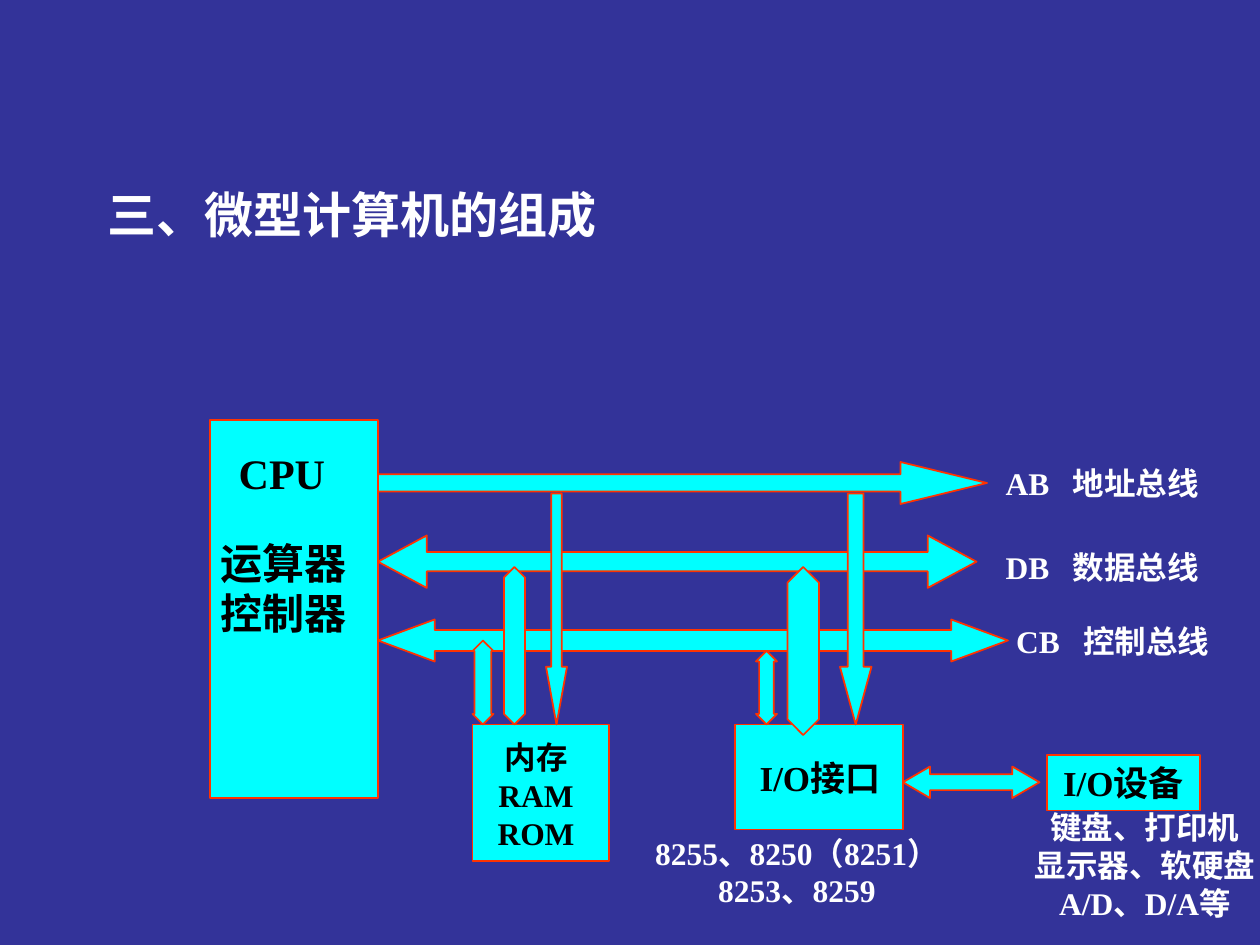
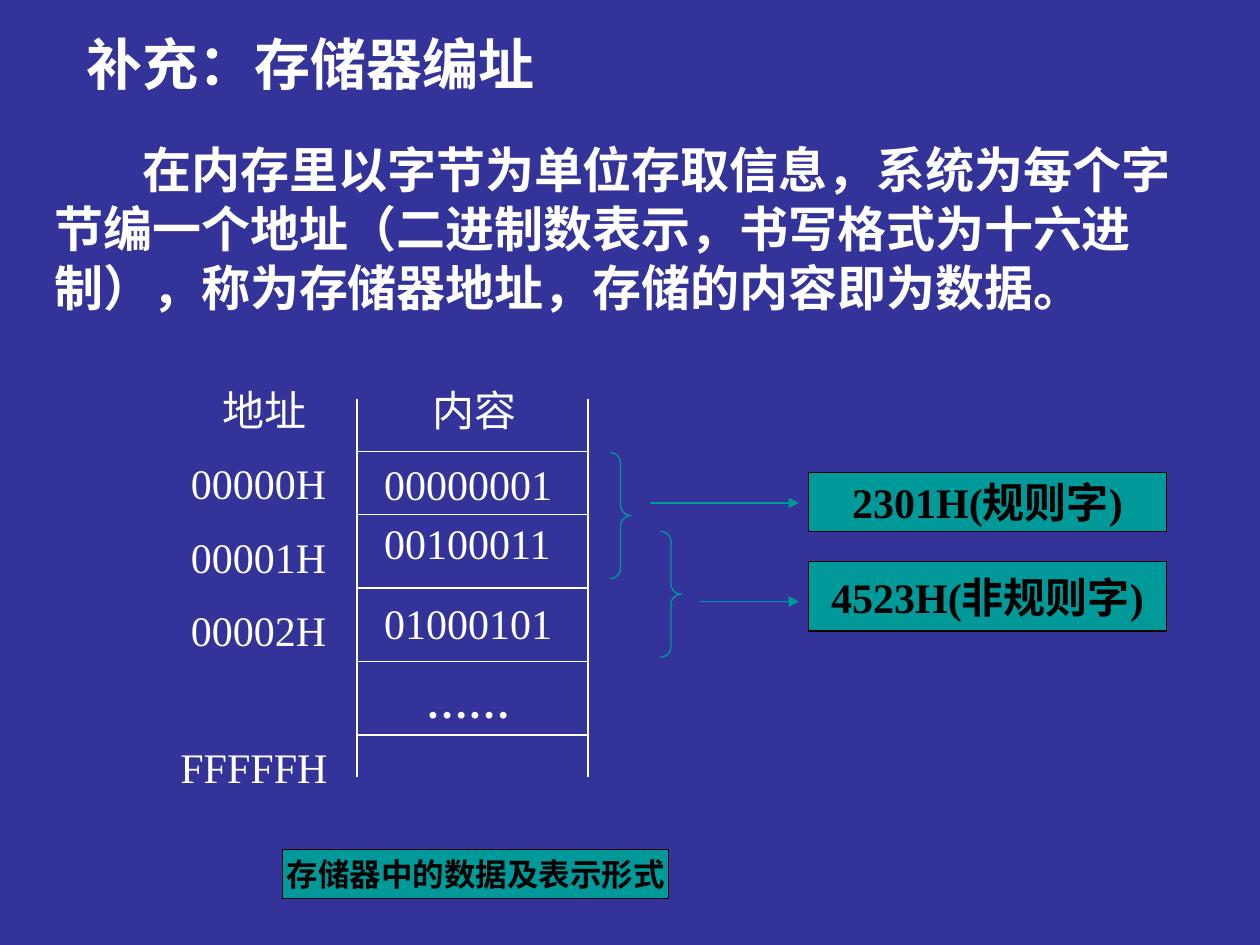
from lxml import etree
from pptx import Presentation
from pptx.dml.color import RGBColor
from pptx.enum.shapes import MSO_CONNECTOR, MSO_SHAPE
from pptx.enum.text import MSO_ANCHOR, MSO_AUTO_SIZE, PP_ALIGN
from pptx.oxml.ns import qn
from pptx.util import Emu, Inches, Pt

NAVY = RGBColor(0x33, 0x33, 0x99)
WHITE = RGBColor(0xFF, 0xFF, 0xFF)
BLACK = RGBColor(0x00, 0x00, 0x00)
CYAN = RGBColor(0x00, 0xFF, 0xFF)
RED = RGBColor(0xFF, 0x33, 0x00)
TEAL = RGBColor(0x00, 0x99, 0x99)

RECT, BRACE = MSO_SHAPE.RECTANGLE, MSO_SHAPE.RIGHT_BRACE
RIGHT, DOWN = MSO_SHAPE.RIGHT_ARROW, MSO_SHAPE.DOWN_ARROW
BOTH_WAYS, UP_DOWN = MSO_SHAPE.LEFT_RIGHT_ARROW, MSO_SHAPE.UP_DOWN_ARROW
LEFT, CENTER = PP_ALIGN.LEFT, PP_ALIGN.CENTER
TOP, MIDDLE = MSO_ANCHOR.TOP, MSO_ANCHOR.MIDDLE

HEADING_FONT, LABEL_FONT = "Arial", "Times New Roman"
TITLE_ONLY = 5
CELLS_PER_INCH = 12  # every place below counts cells of this grid

# Slide 1: (preset, (column, row, columns, rows), adjustments)
DIAGRAM = [
    (RECT, (20, 40, 16, 36), ()),
    (RIGHT, (36, 44, 58, 4), (0.41, 2.06)),
    (BOTH_WAYS, (36, 51, 57, 5), (0.37, 0.93)),
    (BOTH_WAYS, (36, 59, 60, 4), (0.5, 1.35)),
    (RECT, (45, 69, 13, 13), ()),
    (RECT, (70, 69, 16, 10), ()),
    (RECT, (99.7, 71.9, 14.6, 5.3), ()),
    (UP_DOWN, (45, 61, 2, 8), (0.5, 0.8)),
    (UP_DOWN, (48, 54, 2, 15), (0.5, 1.49)),
    (DOWN, (52, 47, 2, 22), (0.5, 2.75)),
    (UP_DOWN, (72, 62, 2, 7), (0.5, 0.7)),
    (UP_DOWN, (75, 54, 3, 16), (0.5, 1.06)),
    (DOWN, (80, 47, 3, 22), (0.5, 1.83)),
    (BOTH_WAYS, (86, 73, 13, 3), (0.5, 0.86)),
]
PART_LABELS = [
    ("CPU", (18.7, 42, 16.3, 6), 24, BLACK),
    ("运算器\n控制器", (19.8, 50.6, 14.4, 10.8), 24, BLACK),
    ("内存\nRAM\nROM", (46.2, 69.7, 9.7, 12), 18, BLACK),
    ("I/O接口", (70.1, 71.4, 16, 5.3), 20, BLACK),
    ("I/O设备", (99.7, 71.9, 14.6, 5.3), 20, BLACK),
    ("8255、8250（8251）\n8253、8259", (57.8, 78.8, 36.2, 8.4), 18, WHITE),
    ("键盘、打印机\n显示器、软硬盘\nA/D、D/A等", (97.3, 76.4, 23.5, 12), 18, WHITE),
]
BUS_LABELS = [
    ("AB\t地址总线", 94.6, 43.6),
    ("DB\t数据总线", 94.6, 51.6),
    ("CB\t控制总线", 95.6, 58.6),
]
BUS_TAB = 6.4

# Slide 2
INTRO = ("在内存里以字节为单位存取信息，系统为每个字节编一个地址（二进制数表示，"
         "书写格式为十六进制），称为存储器地址，存储的内容即为数据。")
MEMORY_SIDES, MEMORY_SPAN = (34, 56), (38, 74)
MEMORY_ROWS = (43, 49, 56, 63, 70)
MEMORY_TEXT = [  # text, column, row, bold
    ("地址", 20, 36, False), ("内容", 40, 36, False),
    ("00000H", 17, 43, False), ("00001H", 17, 50, False),
    ("00002H", 17, 57, False), ("FFFFFH", 16, 70, False),
    ("00000001", 35.4, 43.1, False), ("00100011", 35.4, 48.7, False),
    ("01000101", 35.4, 56.3, False), ("……", 39.4, 63.8, True),
]
CAPTIONS = [
    ("存储器中的数据及表示形式", (26.9, 80.9, 36.8, 4.7), 18),
    ("2301H(规则字)", (77, 45, 34.1, 5.6), 24),
    ("4523H(非规则字)", (77, 53.5, 34.1, 6.6), 24),
]
BRACES = [(58.1, 43.1, 2, 12), (62.9, 50.6, 2, 12)]
POINTERS = [(61.9, 47.9), (66.6, 57.3)]
POINTER_END = 76.1


def cells(count):
    return Emu(round(count * Inches(1) / CELLS_PER_INCH))


def write(shape, text, size, color, bold=True, font=LABEL_FONT,
          align=CENTER, anchor=MIDDLE, wrap=False):
    frame = shape.text_frame
    frame.text = text
    frame.auto_size = MSO_AUTO_SIZE.NONE
    frame.word_wrap = wrap
    frame.vertical_anchor = anchor
    for para in frame.paragraphs:
        para.alignment = align
        for span in para.runs:
            span.font.name = font
            span.font.size = Pt(size)
            span.font.bold = bold
            span.font.color.rgb = color
    return frame


def add_label(page, place, *text, **style):
    box = page.shapes.add_textbox(*map(cells, place))
    return write(box, *text, **style)


def add_preset(page, preset, place, fill, line, width, adjustments=()):
    shape = page.shapes.add_shape(preset, *map(cells, place))
    shape.shadow.inherit = False
    if fill is None:
        shape.fill.background()
    else:
        shape.fill.solid()
        shape.fill.fore_color.rgb = fill
    shape.line.color.rgb = line
    shape.line.width = Pt(width)
    for index, value in enumerate(adjustments):
        shape.adjustments[index] = value
    return shape


def add_line(page, ends, color, width, arrow=False):
    line = page.shapes.add_connector(MSO_CONNECTOR.STRAIGHT, *map(cells, ends))
    line.line.color.rgb = color
    line.line.width = Pt(width)
    if arrow:
        etree.SubElement(line.line._get_or_add_ln(), qn("a:tailEnd"), type="triangle")
    etree.SubElement(line._element.spPr, qn("a:effectLst"))


def add_page(deck, title, place, size, anchor):
    page = deck.slides.add_slide(deck.slide_layouts[TITLE_ONLY])
    heading = page.shapes.title
    heading.left, heading.top, heading.width, heading.height = map(cells, place)
    write(heading, title, size, WHITE, font=HEADING_FONT,
          align=LEFT, anchor=anchor, wrap=True)
    return page


def set_tab(para, position):
    stops = etree.SubElement(para._p.get_or_add_pPr(), qn("a:tabLst"))
    etree.SubElement(stops, qn("a:tab"), pos=str(cells(position)), algn="l")


def build_composition(deck):
    page = add_page(deck, "三、微型计算机的组成", (9, 17, 102, 8), 28, TOP)
    for preset, place, adjustments in DIAGRAM:
        add_preset(page, preset, place, CYAN, RED, 1, adjustments)
    for text, place, size, color in PART_LABELS:
        add_label(page, place, text, size, color)
    for text, column, row in BUS_LABELS:
        frame = add_label(page, (column, row, 22, 4.8), text, 18, WHITE,
                          align=LEFT, wrap=True)
        set_tab(frame.paragraphs[0], BUS_TAB)


def build_addressing(deck):
    page = add_page(deck, "补充：存储器编址", (7, 0, 102, 12), 32, MIDDLE)
    intro = add_label(page, (4, 12, 112, 26), INTRO, 28, WHITE,
                      font=HEADING_FONT, align=LEFT, anchor=TOP, wrap=True)
    intro.margin_top = Inches(0.11)
    intro.paragraphs[0]._p.get_or_add_pPr().set("indent", str(Inches(0.7)))

    (left, right), (top, bottom) = MEMORY_SIDES, MEMORY_SPAN
    for side in MEMORY_SIDES:
        add_line(page, (side, top, side, bottom), WHITE, 1)
    for row in MEMORY_ROWS:
        add_line(page, (left, row, right, row), WHITE, 1)
    for text, column, row, bold in MEMORY_TEXT:
        add_label(page, (column, row, 19, 6), text, 24, WHITE, bold=bold,
                  align=LEFT, anchor=TOP, wrap=True)

    for text, place, size in CAPTIONS:
        write(add_preset(page, RECT, place, TEAL, BLACK, 0.75), text, size, BLACK)
    for place in BRACES:
        add_preset(page, BRACE, place, None, TEAL, 0.75, (0.5, 0.5))
    for start, row in POINTERS:
        add_line(page, (start, row, POINTER_END, row), TEAL, 0.75, arrow=True)


def main():
    deck = Presentation()
    deck.slide_width, deck.slide_height = Inches(10), Inches(7.5)
    background = deck.slide_master.background.fill
    background.solid()
    background.fore_color.rgb = NAVY
    build_composition(deck)
    build_addressing(deck)
    deck.save("out.pptx")


if __name__ == "__main__":
    main()
